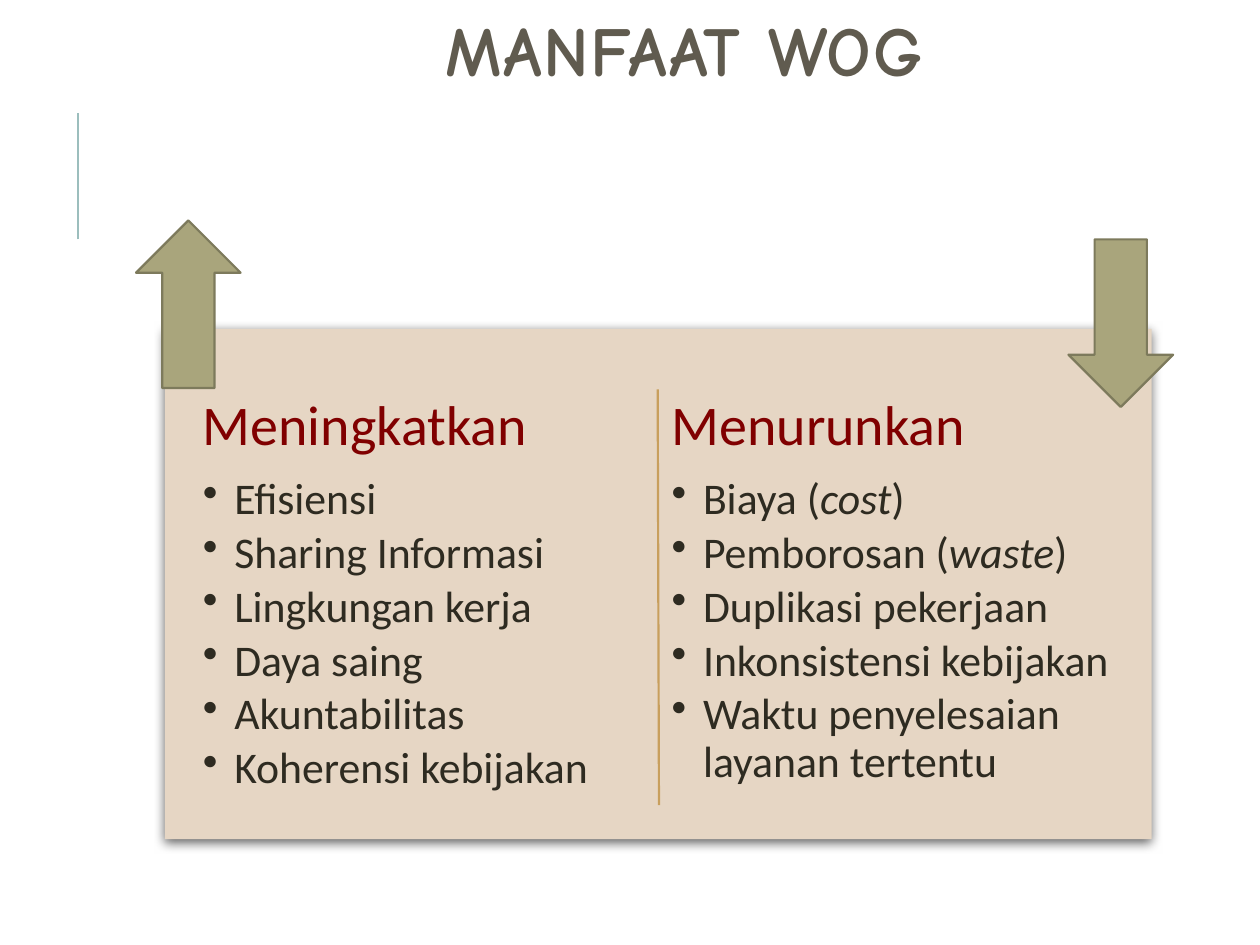
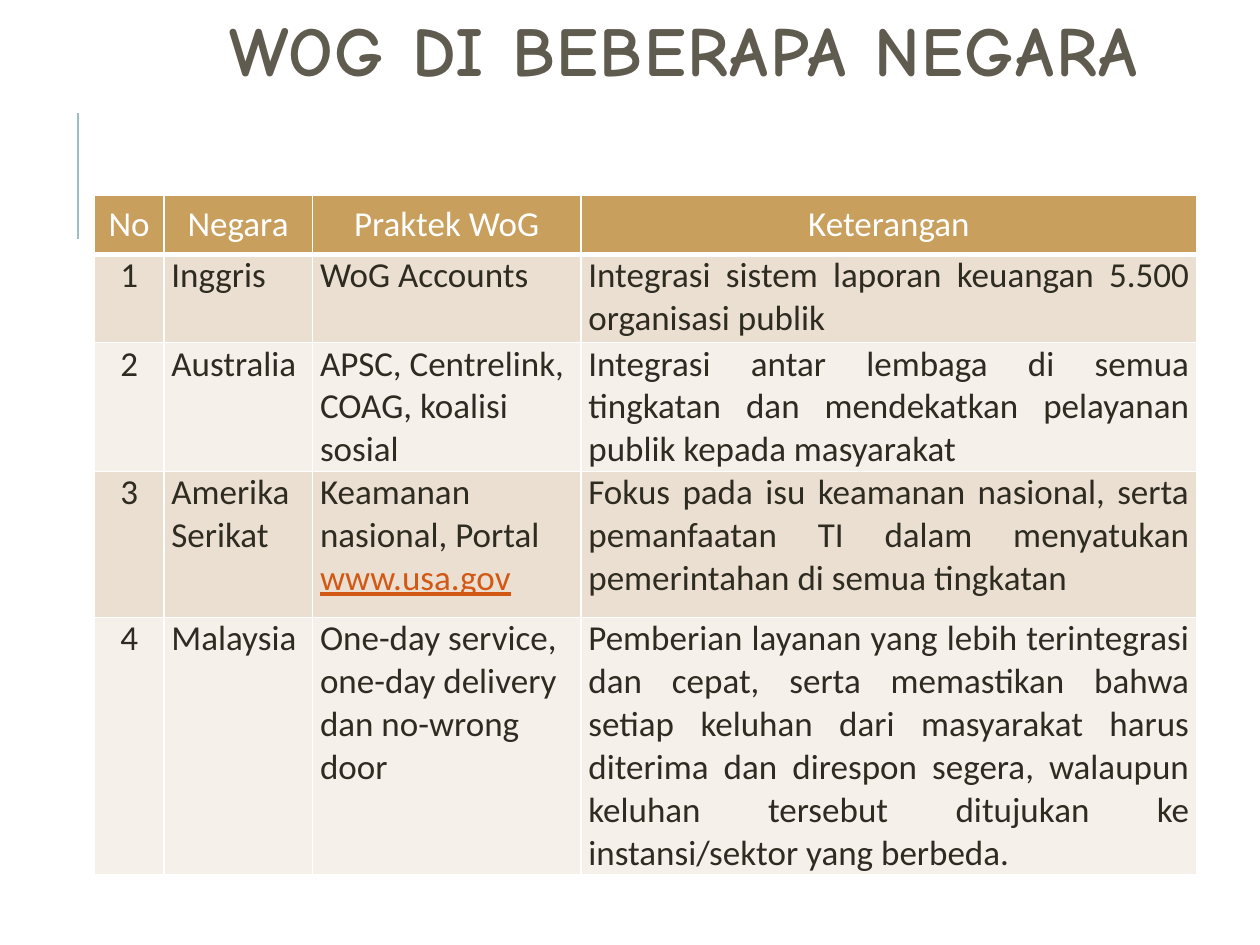
from dataclasses import dataclass
from typing import NamedTuple

from lxml import etree
from pptx import Presentation
from pptx.dml.color import RGBColor
from pptx.enum.shapes import MSO_CONNECTOR, MSO_SHAPE
from pptx.enum.text import MSO_ANCHOR, MSO_AUTO_SIZE, PP_ALIGN
from pptx.oxml import parse_xml
from pptx.oxml.ns import nsdecls, qn
from pptx.util import Inches, Pt

LINE = MSO_CONNECTOR.STRAIGHT
RECT, ARROW = MSO_SHAPE.RECTANGLE, MSO_SHAPE.UP_ARROW
LEFT, CENTER, JUSTIFY = PP_ALIGN.LEFT, PP_ALIGN.CENTER, PP_ALIGN.JUSTIFY
MIDDLE, TOP = MSO_ANCHOR.MIDDLE, MSO_ANCHOR.TOP


@dataclass(frozen=True)
class Theme:
    white: str = "FFFFFF"
    title: str = "605B4F"
    ink: str = "2E2B21"
    head: str = "800000"
    link: str = "D25814"
    accent: str = "9CBEBD"
    gold: str = "C89F5D"
    panel: str = "E6D6C4"
    arrow: str = "A9A57C"
    edge: str = "7D7A5C"
    bands: tuple = ("EBDFD2", "F5F0EA")
    face: str = "Comic Neue"
    body: str = "Calibri"
    title_size: int = 40
    head_size: int = 32
    item_size: int = 25
    cell_size: int = 20


T = Theme()


class Part(NamedTuple):
    """A piece of text with its own emphasis."""
    text: str
    italic: bool = False
    link: bool = False


class Column(NamedTuple):
    left: float
    head: str
    items: list


class Arrow(NamedTuple):
    left: float
    top: float
    turn: int


class Field(NamedTuple):
    name: str
    width: float
    align: PP_ALIGN


COLUMNS = [
    Column(1.54, "Meningkatkan", [
        [Part("Efisiensi")],
        [Part("Sharing Informasi")],
        [Part("Lingkungan kerja")],
        [Part("Daya saing")],
        [Part("Akuntabilitas")],
        [Part("Koherensi kebijakan")],
    ]),
    Column(5.26, "Menurunkan", [
        [Part("Biaya ("), Part("cost", italic=True), Part(")")],
        [Part("Pemborosan ("), Part("waste", italic=True), Part(")")],
        [Part("Duplikasi pekerjaan")],
        [Part("Inkonsistensi kebijakan")],
        [Part("Waktu penyelesaian layanan tertentu")],
    ]),
]
ARROWS = [Arrow(1.08, 1.75, 0), Arrow(8.48, 1.9, 180)]

FIELDS = [
    Field("No", 0.55, CENTER),
    Field("Negara", 1.18, JUSTIFY),
    Field("Praktek WoG", 2.13, LEFT),
    Field("Keterangan", 4.89, JUSTIFY),
]
HEIGHTS = [0.47, 0.7, 1.02, 1.16, 2.04]
NATIONS = [
    ("Inggris", [Part("WoG Accounts")],
     "Integrasi sistem laporan keuangan 5.500 organisasi publik"),
    ("Australia", [Part("APSC, Centrelink, COAG, koalisi sosial")],
     "Integrasi antar lembaga di semua tingkatan dan mendekatkan "
     "pelayanan publik kepada masyarakat"),
    ("Amerika Serikat",
     [Part("Keamanan nasional, Portal "), Part("www.usa.gov", link=True)],
     "Fokus pada isu keamanan nasional, serta pemanfaatan TI dalam "
     "menyatukan pemerintahan di semua tingkatan"),
    ("Malaysia", [Part("One-day service, one-day delivery dan no-wrong door")],
     "Pemberian layanan yang lebih terintegrasi dan cepat, serta memastikan "
     "bahwa setiap keluhan dari masyarakat harus diterima dan direspon "
     "segera, walaupun keluhan tersebut ditujukan ke instansi/sektor yang "
     "berbeda."),
]


def rgb(code: str) -> RGBColor:
    return RGBColor.from_string(code)


def add_run(para, text: str, size: int, color: str, face: str = T.body):
    run = para.add_run()
    run.text = text
    font = run.font
    font.size, font.name, font.bold = Pt(size), face, False
    font.color.rgb = rgb(color)
    return run


def add_parts(para, parts: list, size: int) -> None:
    for part in parts:
        run = add_run(para, part.text, size, T.link if part.link else T.ink)
        if part.italic:
            run.font.italic = True
        if part.link:
            run.font.underline = True


def add_line(slide, start: tuple, end: tuple, color: str, width: float) -> None:
    line = slide.shapes.add_connector(LINE, *map(Inches, start + end))
    line.line.color.rgb = rgb(color)
    line.line.width = Pt(width)
    etree.SubElement(line._element.spPr, qn("a:effectLst"))


def add_page(deck, title: str):
    """Add a slide with the shared title and side line."""
    slide = deck.slides.add_slide(deck.slide_layouts[5])
    add_line(slide, (0.62, 1.9), (0.62, 0.9), T.accent, 1.5)
    box = slide.shapes.title
    box.left, box.top, box.width, box.height = map(Inches, (0.98, 0.14, 8.9, 0.61))
    frame = box.text_frame
    frame.auto_size = MSO_AUTO_SIZE.NONE
    frame.vertical_anchor = MIDDLE
    para = frame.paragraphs[0]
    para.alignment, para.line_spacing = CENTER, 0.8
    run = add_run(para, title, T.title_size, T.title, T.face)
    run.font.bold = True
    run._r.get_or_add_rPr().set("spc", "100")
    return slide


def add_panel(slide) -> None:
    panel = slide.shapes.add_shape(RECT, *map(Inches, (1.31, 2.61, 7.83, 4.05)))
    panel.fill.solid()
    panel.fill.fore_color.rgb = rgb(T.panel)
    panel.line.fill.background()
    panel._element.spPr.append(parse_xml(
        f'<a:effectLst {nsdecls("a")}>'
        f'<a:outerShdw blurRad="{Pt(6)}" dist="{Pt(2)}" dir="5400000" rotWithShape="0">'
        '<a:srgbClr val="000000"><a:alpha val="60000"/></a:srgbClr>'
        '</a:outerShdw></a:effectLst>'))


def set_bullet(para) -> None:
    para.level = 1
    props = para._p.get_or_add_pPr()
    props.set("marL", str(Inches(0.25)))
    props.set("indent", str(Inches(-0.25)))
    etree.SubElement(props, qn("a:buChar")).set("char", "•")


def add_column(slide, col: Column) -> None:
    box = slide.shapes.add_textbox(*map(Inches, (col.left, 3.08, 3.64, 3.46)))
    frame = box.text_frame
    frame.word_wrap = True
    frame.margin_left = frame.margin_right = Inches(0.07)
    frame.margin_top = frame.margin_bottom = Inches(0.07)
    head = frame.paragraphs[0]
    head.line_spacing, head.space_after = 0.9, Pt(0.35 * T.head_size)
    add_run(head, col.head, T.head_size, T.head)
    for parts in col.items:
        para = frame.add_paragraph()
        set_bullet(para)
        para.line_spacing, para.space_after = 0.9, Pt(0.15 * T.item_size)
        add_parts(para, parts, T.item_size)


def add_arrow(slide, arrow: Arrow) -> None:
    shape = slide.shapes.add_shape(
        ARROW, *map(Inches, (arrow.left, arrow.top, 0.83, 1.33)))
    shape.rotation = arrow.turn
    shape.shadow.inherit = False
    shape.fill.solid()
    shape.fill.fore_color.rgb = rgb(T.arrow)
    shape.line.color.rgb = rgb(T.edge)
    shape.line.width = Pt(1.25)


def set_cell(cell, fill: str, anchor: MSO_ANCHOR, align: PP_ALIGN, base: int):
    """Style a cell and return its paragraph; base is the lower border in points."""
    cell.margin_left = cell.margin_right = Inches(0.06)
    cell.margin_top = cell.margin_bottom = 0
    cell.vertical_anchor = anchor
    props = cell._tc.get_or_add_tcPr()
    for side, width in (("L", 1), ("R", 1), ("T", 1), ("B", base)):
        props.append(parse_xml(
            f'<a:ln{side} {nsdecls("a")} w="{Pt(width)}"><a:solidFill>'
            f'<a:srgbClr val="{T.white}"/></a:solidFill></a:ln{side}>'))
    cell.fill.solid()
    cell.fill.fore_color.rgb = rgb(fill)
    para = cell.text_frame.paragraphs[0]
    para.alignment = align
    return para


def add_grid(slide) -> None:
    frame = slide.shapes.add_table(
        len(HEIGHTS), len(FIELDS),
        *map(Inches, (0.75, 1.55, sum(f.width for f in FIELDS), sum(HEIGHTS))))
    table = frame.table
    for row, height in zip(table.rows, HEIGHTS):
        row.height = Inches(height)
    for at, field in enumerate(FIELDS):
        table.columns[at].width = Inches(field.width)
        para = set_cell(table.cell(0, at), T.gold, MIDDLE, CENTER, 3)
        add_run(para, field.name, T.cell_size, T.white)
    for num, (name, work, note) in enumerate(NATIONS, 1):
        fill = T.bands[(num - 1) % 2]
        texts = ([Part(str(num))], [Part(name)], work, [Part(note)])
        for at, (field, parts) in enumerate(zip(FIELDS, texts)):
            para = set_cell(table.cell(num, at), fill, TOP, field.align, 1)
            add_parts(para, parts, T.cell_size)


def main() -> None:
    deck = Presentation()
    deck.slide_width, deck.slide_height = Inches(10), Inches(7.5)

    gains = add_page(deck, "MANFAAT WOG")
    add_panel(gains)
    for col in COLUMNS:
        add_column(gains, col)
    add_line(gains, (5.22, 3.09), (5.23, 6.39), T.gold, 1.25)
    for arrow in ARROWS:
        add_arrow(gains, arrow)

    add_grid(add_page(deck, "WOG DI BEBERAPA NEGARA"))
    deck.save("out.pptx")


if __name__ == "__main__":
    main()
